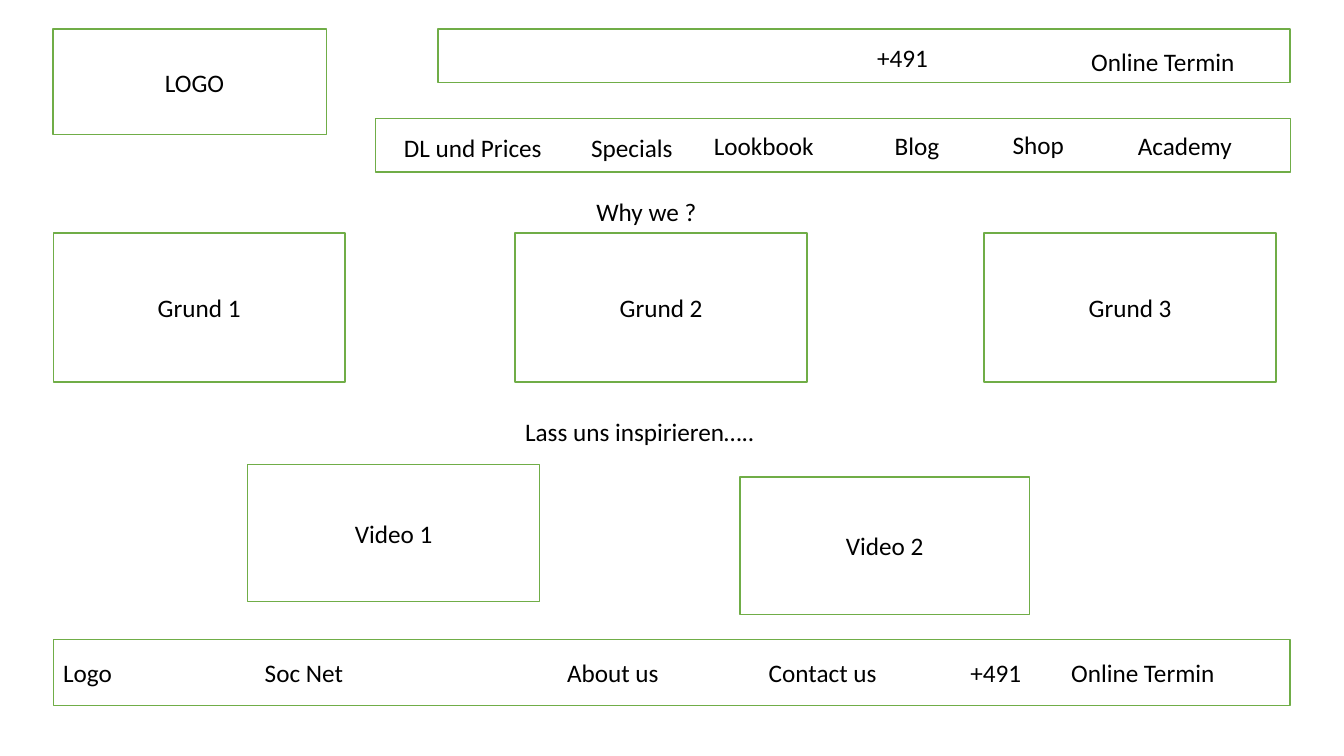
import pptx
import pptx.dml.color
import pptx.enum.shapes
import pptx.enum.text
import pptx.oxml.ns
import pptx.util
from lxml import etree

Pt = pptx.util.Pt
ALIGN = pptx.enum.text.PP_ALIGN
ANCHOR = pptx.enum.text.MSO_ANCHOR


def color(value):
    return pptx.dml.color.RGBColor.from_string(value)


class Wireframe:
    font = "Calibri"
    size = 18
    ink = "000000"
    paper = "FFFFFF"
    border = "70AD47"

    def __init__(self, slide):
        self.s = slide

    def add_text(self, p, text):
        r = p.add_run()
        r.text = text
        r.font.name = self.font
        r.font.size = Pt(self.size)
        r.font.color.rgb = color(self.ink)

    def box(self, x, y, w, h, text="", align=ALIGN.CENTER):
        sp = self.s.shapes.add_shape(
            pptx.enum.shapes.MSO_SHAPE.RECTANGLE, Pt(x), Pt(y), Pt(w), Pt(h))
        sp.shadow.inherit = False
        sp.fill.solid()
        sp.fill.fore_color.rgb = color(self.paper)
        sp.line.color.rgb = color(self.border)
        sp.line.width = Pt(1)
        tf = sp.text_frame
        tf.word_wrap = True
        tf.vertical_anchor = ANCHOR.MIDDLE
        p = tf.paragraphs[0]
        p.alignment = align
        if text:
            self.add_text(p, text)
        return sp

    def label(self, x, y, w, text):
        sp = self.s.shapes.add_textbox(Pt(x), Pt(y), Pt(w), Pt(29))
        tf = sp.text_frame
        tf.word_wrap = True
        tf.auto_size = pptx.enum.text.MSO_AUTO_SIZE.SHAPE_TO_FIT_TEXT
        self.add_text(tf.paragraphs[0], text)

    def tabbed_box(self, x, y, w, h, items, stops):
        sp = self.box(x, y, w, h, "\t".join(items), ALIGN.LEFT)
        qn = pptx.oxml.ns.qn
        pPr = sp.text_frame.paragraphs[0]._p.get_or_add_pPr()
        tabs = etree.SubElement(pPr, qn("a:tabLst"))
        for stop in stops:
            etree.SubElement(tabs, qn("a:tab"), pos=str(Pt(stop)), algn="l")


prs = pptx.Presentation()
prs.slide_width = Pt(960)
prs.slide_height = Pt(540)
page = Wireframe(prs.slides.add_slide(prs.slide_layouts[6]))

LEFT, RIGHT = 38, 921.6

page.box(LEFT, 20.7, 195.3, 75.4)
page.label(110.7, 44.2, 63, "LOGO")

for x, y in ((313, 20.7), (268.2, 84.7)):
    page.box(x, y, RIGHT - x, 38.2)
page.label(619.5, 26.8, 188, "+491")
page.label(772.3, 29.5, 187, "Online Termin")

menu = (
    (281.4, 90.8, 137, "DL und Prices"),
    (415.2, 90.8, 78, "Specials"),
    (502.8, 89.5, 130, "Lookbook"),
    (632, 89.5, 63, "Blog"),
    (716.2, 89, 63, "Shop"),
    (805.7, 89.5, 137, "Academy"),
)
for item in menu:
    page.label(*item)

page.label(418.9, 136.8, 185, "Why we ?")
for number, x in enumerate((LEFT, 368, 703), 1):
    page.box(x, 166.5, 208.5, 106.5, f"Grund {number}")

page.label(368, 293.5, 217, "Lass uns inspirieren\u2026..")
for number, (x, y, w) in enumerate(((177, 331.7, 208.5), (528.5, 340.6, 206.8)), 1):
    page.box(x, y, w, 98.2, f"Video {number}")

page.tabbed_box(
    LEFT, 457, RIGHT - LEFT, 47,
    ("Logo", "Soc Net", "About us", "Contact us", "+491", "Online Termin"),
    [72 * inch for inch in (2, 5, 7, 9, 10)])

prs.save("out.pptx")
